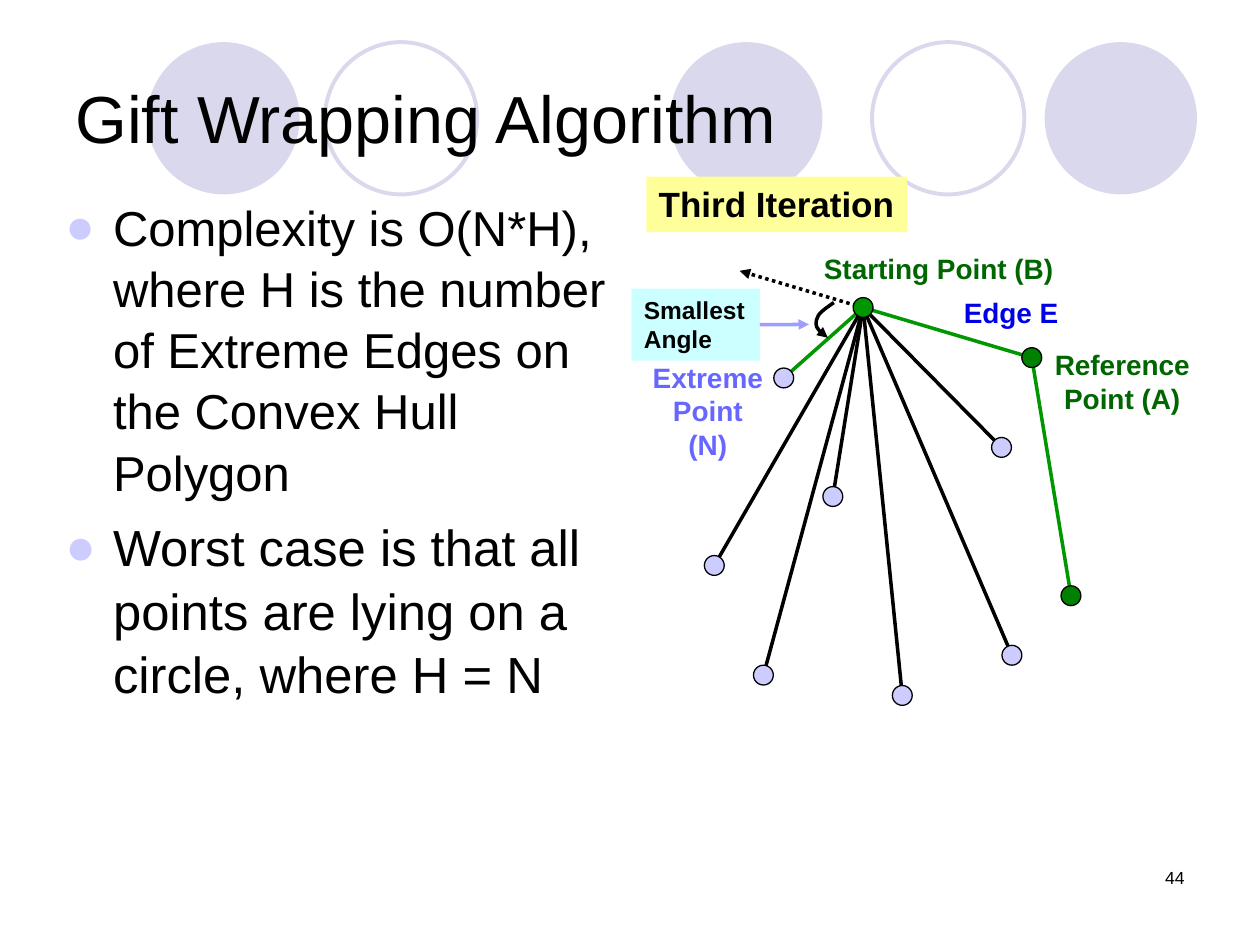
from collections import namedtuple

from lxml import etree
from pptx import Presentation
from pptx.dml.color import RGBColor
from pptx.enum import dml, shapes, text
from pptx.oxml import ns
from pptx.util import Cm, Pt

Box = namedtuple("Box", "left top width height")  # centimetres

FONT = "Arial"
BLACK = RGBColor(0x00, 0x00, 0x00)
BAND = RGBColor(0xD9, 0xD8, 0xEC)
LAVENDER = RGBColor(0xCC, 0xCC, 0xFF)
VIOLET = RGBColor(0x67, 0x67, 0xFF)
POINTER = RGBColor(0x9E, 0x9E, 0xFF)
CYAN = RGBColor(0xCC, 0xFF, 0xFF)
YELLOW = RGBColor(0xFF, 0xFF, 0x99)
HULL_GREEN = RGBColor(0x00, 0x97, 0x00)
DOT_GREEN = RGBColor(0x00, 0x80, 0x00)
LABEL_GREEN = RGBColor(0x00, 0x66, 0x00)
EDGE_BLUE = RGBColor(0x00, 0x00, 0xE5)

LEFT, CENTER, RIGHT = (text.PP_ALIGN.LEFT, text.PP_ALIGN.CENTER,
                       text.PP_ALIGN.RIGHT)

# Plane points, relative to the diagram box
START, REFERENCE, FIRST, EXTREME = (4.7, 2.7), (8.1, 3.71), (8.89, 8.51), (3.1, 4.12)
CANDIDATES = [(7.49, 5.52), (4.09, 6.51), (1.7, 7.9), (2.69, 10.11),
              (7.7, 9.71), (5.49, 10.52)]
# Start point, then two cubic segments of three points each
ANGLE_ARC = [(4.11, 2.6), (3.94, 2.72), (3.78, 2.82), (3.76, 2.95),
             (3.73, 3.08), (3.86, 3.26), (3.99, 3.31)]


def inside(box, left, top, width, height):
    return Box(box.left + left, box.top + top, width, height)


def lengths(box):
    return [Cm(value) for value in box]


def add_text(slide, box, words, size=16, color=BLACK, bold=False, align=LEFT,
             anchor=text.MSO_ANCHOR.TOP, wrap=True, fill=None):
    """Place a text box with one paragraph per line of words."""
    shape = slide.shapes.add_textbox(*lengths(box))
    if fill is not None:
        shape.fill.solid()
        shape.fill.fore_color.rgb = fill
    frame = shape.text_frame
    frame.word_wrap = wrap
    frame.vertical_anchor = anchor
    frame.text = words
    for para in frame.paragraphs:
        para.alignment = align
        font = para.runs[0].font
        font.name, font.size, font.bold = FONT, Pt(size), bold
        font.color.rgb = color
    return shape


def add_circle(slide, box, fill=None, line=None, weight=0.75):
    circle = slide.shapes.add_shape(shapes.MSO_SHAPE.OVAL, *lengths(box))
    circle.shadow.inherit = False
    if fill is None:
        circle.fill.background()
    else:
        circle.fill.solid()
        circle.fill.fore_color.rgb = fill
    if line is None:
        circle.line.fill.background()
    else:
        circle.line.color.rgb = line
        circle.line.width = Pt(weight)


def style_stroke(stroke, color, arrow=False):
    stroke.line.color.rgb = color
    stroke.line.width = Pt(2)
    if arrow:
        etree.SubElement(stroke.line._get_or_add_ln(), ns.qn("a:tailEnd"),
                         type="triangle")


def add_line(slide, box, start, end, color=BLACK, arrow=False, dotted=False):
    """Draw a straight line between two points given relative to box."""
    line = slide.shapes.add_connector(
        shapes.MSO_CONNECTOR.STRAIGHT,
        Cm(box.left + start[0]), Cm(box.top + start[1]),
        Cm(box.left + end[0]), Cm(box.top + end[1]))
    if dotted:
        line.line.dash_style = dml.MSO_LINE.ROUND_DOT
    style_stroke(line, color, arrow)
    etree.SubElement(line._element.spPr, ns.qn("a:effectLst"))
    return line


def add_curve(slide, box, points):
    """Draw an open cubic curve that ends in an arrowhead."""
    spots = [(Cm(box.left + x), Cm(box.top + y)) for x, y in points]
    builder = slide.shapes.build_freeform(*spots[0])
    builder.add_line_segments(spots[1:], close=False)
    curve = builder.convert_to_shape()
    curve.shadow.inherit = False
    curve.fill.background()
    style_stroke(curve, BLACK, arrow=True)
    # Turn each three straight steps into one cubic segment
    steps = list(curve._element.iter(ns.qn("a:lnTo")))
    for first in range(0, len(steps), 3):
        group = steps[first:first + 3]
        cubic = etree.Element(ns.qn("a:cubicBezTo"))
        group[0].addprevious(cubic)
        for step in group:
            cubic.append(step[0])
            step.getparent().remove(step)


def draw_band(slide, box):
    """Row of filled and outlined circles behind the title."""
    for offset, filled in [(0, True), (3.58, False), (10.54, True),
                           (14.61, False), (18.09, True)]:
        add_circle(slide, inside(box, offset, 0, box.height, box.height),
                   fill=BAND if filled else None,
                   line=None if filled else BAND, weight=2.25)


def draw_bullets(slide, box):
    items = [("Complexity is O(N*H), where H is the number of Extreme Edges "
              "on the Convex Hull Polygon", 28, 7),
             ("Worst case is that all points are lying on a circle, "
              "where H = N", 29, 7.3)]
    body = add_text(slide, box, "\n".join(item[0] for item in items))
    for para, (_, size, gap) in zip(body.text_frame.paragraphs, items):
        para.runs[0].font.size = Pt(size)
        para.space_before = Pt(gap)
        para.line_spacing = 1.04
        properties = para._p.get_or_add_pPr()
        properties.set("marL", str(Cm(0.96)))
        properties.set("indent", str(-Cm(0.96)))
        color = etree.SubElement(properties, ns.qn("a:buClr"))
        etree.SubElement(color, ns.qn("a:srgbClr"), val=str(LAVENDER))
        etree.SubElement(properties, ns.qn("a:buFont"), typeface=FONT)
        etree.SubElement(properties, ns.qn("a:buChar"), char="●")


def draw_diagram(slide, box):
    """One gift wrapping step: lines from the start to all candidates."""
    # Callout for the smallest angle
    callout = add_text(slide, inside(box, 0.03, 2.32, 2.59, 1.45),
                       "Smallest Angle", size=14, bold=True, fill=CYAN)
    pointer = add_line(slide, box, (2.62, 3.04), (3.61, 3.04), POINTER, arrow=True)
    pointer.begin_connect(callout, 3)

    # Lines
    add_line(slide, box, START, (2.21, 1.96), arrow=True, dotted=True)
    for point in CANDIDATES:
        add_line(slide, box, START, point)
    for start, end in [(REFERENCE, START), (START, EXTREME), (FIRST, REFERENCE)]:
        add_line(slide, box, start, end, HULL_GREEN)

    # Points
    dots = [(FIRST, DOT_GREEN), (REFERENCE, DOT_GREEN), (START, HULL_GREEN)]
    dots += [(point, LAVENDER) for point in [EXTREME] + CANDIDATES]
    for (x, y), color in dots:
        add_circle(slide, inside(box, x - 0.2, y - 0.2, 0.4, 0.4), color, BLACK)
    add_curve(slide, box, ANGLE_ARC)

    # Labels
    for words, place, color, align in [
            ("Starting Point (B)", (3.66, 1.45, 5.72, 0.94), LABEL_GREEN, LEFT),
            ("Extreme\nPoint (N)", (0.15, 3.64, 2.84, 1.63), VIOLET, CENTER),
            ("Reference\nPoint (A)", (8.31, 3.38, 3.23, 1.63), LABEL_GREEN, CENTER),
            ("Edge E", (6.48, 2.34, 2.41, 0.94), EDGE_BLUE, LEFT)]:
        add_text(slide, inside(box, *place), words, color=color, bold=True,
                 align=align, wrap=False)
    add_text(slide, inside(box, 0.33, 0.06, 5.26, 1.12), "Third Iteration",
             size=20, bold=True, wrap=False, fill=YELLOW)


def main():
    deck = Presentation()
    deck.slide_width, deck.slide_height = Cm(25.4), Cm(19.05)
    page = deck.slides.add_slide(deck.slide_layouts[6])
    draw_band(page, Box(2.97, 0.85, 21.16, 3.07))
    add_text(page, Box(18.21, 17.35, 5.92, 1.27), "44", size=10, align=RIGHT)
    add_text(page, Box(1.27, 0.76, 22.86, 3.18), "Gift Wrapping Algorithm",
             size=38, anchor=text.MSO_ANCHOR.MIDDLE)
    draw_bullets(page, Box(1.07, 3.81, 11.43, 14.6))
    draw_diagram(page, Box(12.7, 3.5, 11.6, 11))
    deck.save("out.pptx")


if __name__ == "__main__":
    main()
